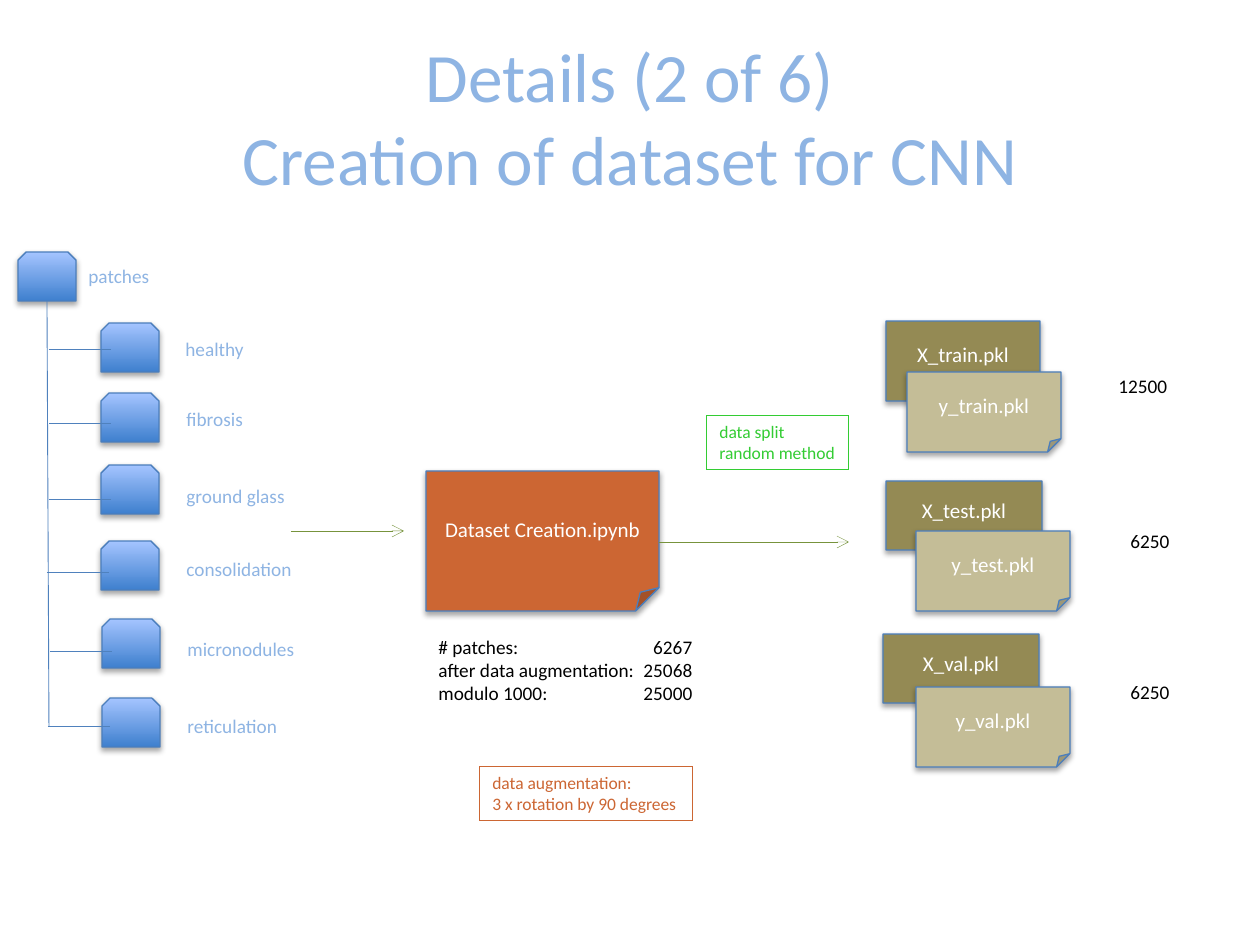
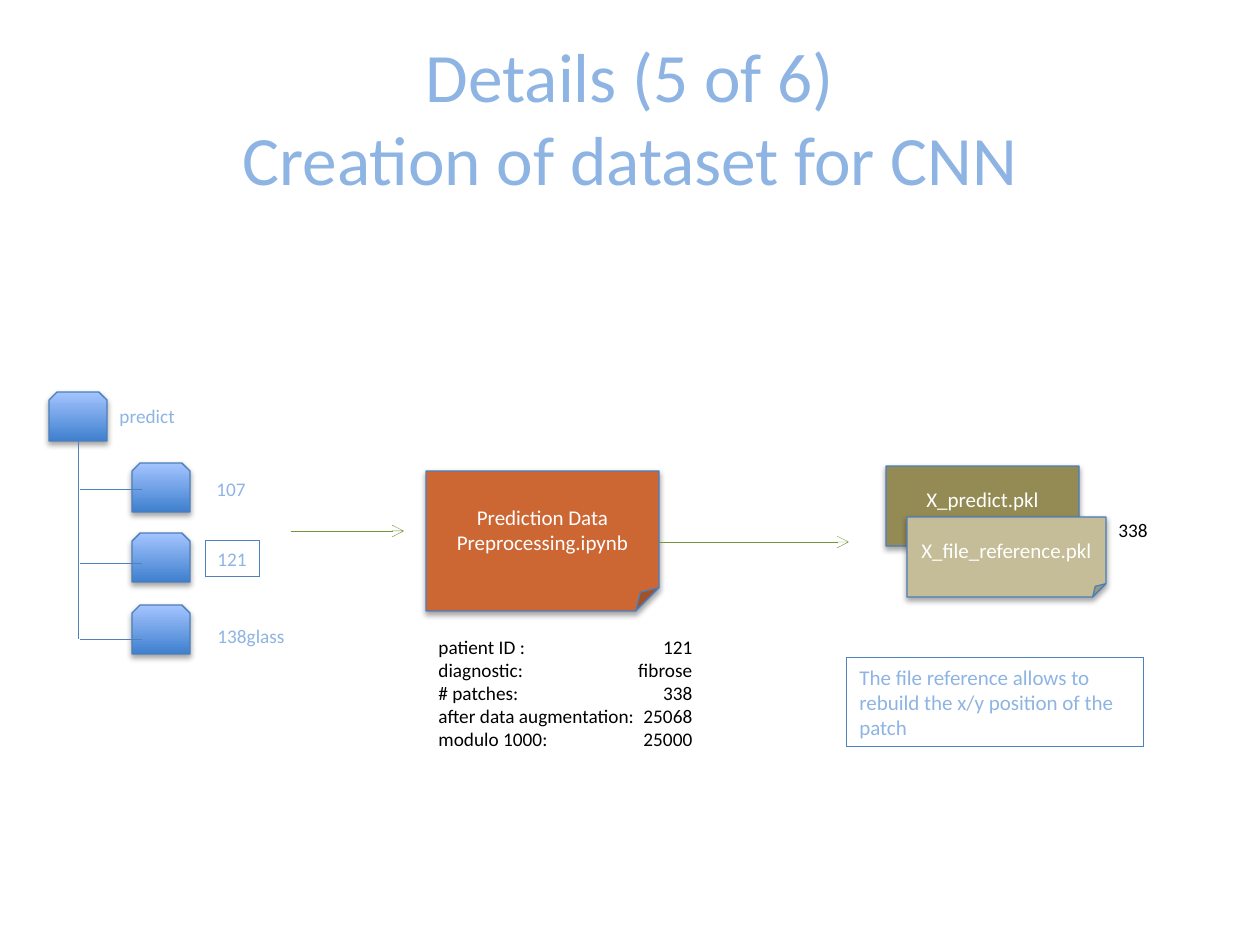
from lxml import etree
from pptx import Presentation
from pptx.dml.color import RGBColor
from pptx.enum.shapes import MSO_CONNECTOR, MSO_SHAPE
from pptx.enum.text import MSO_ANCHOR, MSO_AUTO_SIZE, PP_ALIGN
from pptx.oxml import parse_xml
from pptx.oxml.ns import qn
from pptx.util import Emu, Pt

SCALE = 914400 / 126
NS = 'xmlns:a="http://schemas.openxmlformats.org/drawingml/2006/main"'
LINE = MSO_CONNECTOR.STRAIGHT
FOLD, SNIP = MSO_SHAPE.FOLDED_CORNER, MSO_SHAPE.SNIP_2_SAME_RECTANGLE
MIDDLE, CENTER = MSO_ANCHOR.MIDDLE, PP_ALIGN.CENTER
FIXED, GROW = MSO_AUTO_SIZE.NONE, MSO_AUTO_SIZE.SHAPE_TO_FIT_TEXT

FONT = "Calibri"
COLORS = {
    "sky": "8EB4E3", "edge": "4B7EBC", "tree": "4F81BD", "arrow": "77933C",
    "step": "CC6633", "dark": "948A54", "sand": "C4BD97", "green": "33CC33",
    "deep": "3F80CE", "pale": "A4C4FF", "white": "FFFFFF", "black": "000000",
}
# Offsets from the root folder: folder x, y; branch x, y; label x, y
ROWS = [
    (83, 71, 31, 97, 155, 79),
    (83, 141, 31, 171, 156, 149),
    (83, 213, 31, 247, 156, 226),
    (83, 289, 29, 320, 156, 299),
    (84, 367, 32, 399, 157, 379),
    (84, 446, 30, 474, 157, 456),
]


def px(*vals):
    return [Emu(round(v * SCALE)) for v in vals]


def rgb(name):
    return RGBColor.from_string(COLORS[name])


class Deck:
    def __init__(self):
        self.prs = Presentation()
        self.prs.slide_width, self.prs.slide_height = px(1260, 945)

    def start(self, *lines):
        """New slide with a centred title."""
        self.slide = self.prs.slides.add_slide(self.prs.slide_layouts[5])
        title = self.slide.shapes.title
        title.left, title.top, title.width, title.height = px(63, 38, 1134, 157)
        frame = title.text_frame
        frame.auto_size, frame.vertical_anchor = FIXED, MIDDLE
        par = frame.paragraphs[0]
        par.alignment = CENTER
        for i, line in enumerate(lines):
            if i:
                par.add_line_break()
            self.run(par, line, 39.6, "sky")

    def run(self, par, text, size, color):
        run = par.add_run()
        run.text = text
        run.font.name, run.font.size = FONT, Pt(size)
        run.font.color.rgb = rgb(color)

    def shape(self, kind, x, y, w, h):
        """Outlined shape with a soft shadow below."""
        shape = self.slide.shapes.add_shape(kind, *px(x, y, w, h))
        shape.line.color.rgb, shape.line.width = rgb("edge"), Pt(0.75)
        shape.shadow.inherit = False
        shape._element.spPr.find(qn("a:effectLst")).append(parse_xml(
            f'<a:outerShdw {NS} blurRad="40000" dist="23000" dir="5400000" '
            'rotWithShape="0"><a:srgbClr val="000000"><a:alpha val="35000"/>'
            '</a:srgbClr></a:outerShdw>'))
        return shape

    def file(self, x, y, w, h, text, fill):
        shape = self.shape(FOLD, x, y, w, h)
        shape.fill.solid()
        shape.fill.fore_color.rgb = rgb(fill)
        frame = shape.text_frame
        frame.word_wrap, frame.vertical_anchor = True, MIDDLE
        par = frame.paragraphs[0]
        par.alignment = CENTER
        self.run(par, text, 12, "white")

    def folder(self, x, y):
        fill = self.shape(SNIP, x, y, 58, 49).fill
        fill.gradient()
        fill.gradient_angle = 90
        for stop, color in zip(fill.gradient_stops, ("deep", "pale")):
            stop.color.rgb = rgb(color)

    def line(self, x1, y1, x2, y2, color="tree", width=0.5, head=False):
        line = self.slide.shapes.add_connector(LINE, *px(x1, y1, x2, y2))
        line.line.color.rgb, line.line.width = rgb(color), Pt(width)
        if head:
            etree.SubElement(line.line._get_or_add_ln(), qn("a:tailEnd"), type="arrow")
        etree.SubElement(line._element.spPr, qn("a:effectLst"))

    def text(self, x, y, w, h, lines, color="sky", size=11, edge=None, wrap=False, tab=0):
        box = self.slide.shapes.add_textbox(*px(x, y, w, h))
        frame = box.text_frame
        frame.word_wrap, frame.auto_size = wrap, GROW
        if edge:
            # The default width draws as a thin frame
            box.line.color.rgb = rgb(edge)
        for i, line in enumerate(lines):
            par = frame.add_paragraph() if i else frame.paragraphs[0]
            if tab:
                par._p.get_or_add_pPr().append(parse_xml(
                    f'<a:tabLst {NS}><a:tab pos="{px(tab)[0]}" algn="r"/></a:tabLst>'))
            self.run(par, line, size, color)

    def tree(self, x, y, root, wide, lean, names):
        """Folder tree; names holds label, label width and label edge."""
        self.folder(x, y)
        self.text(x + 58, y + 6, wide, 36, [root])
        self.line(x + 29, y + 49, x + 29 + lean, y + ROWS[len(names) - 1][3])
        for (fx, fy, bx, by, tx, ty), (name, w, edge) in zip(ROWS, names):
            self.folder(x + fx, y + fy)
            self.line(x + bx, y + by, x + bx + 62, y + by)
            self.text(x + tx, y + ty, w, 36, [name], edge=edge)

    def flow(self, step, stats):
        """Central step, its arrows and the figures below."""
        left, wide = 426, 233
        self.file(left, 471, wide, 140, step, "step")
        for x1, x2, y in ((left + wide, 849, 542), (291, 404, 531)):
            self.line(x1, y, x2, y, "arrow", 0.25, True)
        lines = [f"{key}\t{val}" for key, val in stats]
        self.text(left, 629, 284, 13 + 23 * len(lines), lines, "black", wrap=True, tab=254)


deck = Deck()
GROWN = [("after data augmentation:", "25068"), ("modulo 1000:", "25000")]

# Slide 1: training data
deck.start("Details (2 of 6)", "Creation of dataset for CNN")
deck.flow("Dataset Creation.ipynb", [("# patches:", "6267")] + GROWN)
deck.tree(18, 252, "patches", 87, 2, [
    ("healthy", 86, None), ("fibrosis", 83, None), ("ground glass", 125, None),
    ("consolidation", 132, None), ("micronodules", 134, None),
    ("reticulation", 116, None)])
# Per set: X file box, y file corner, count place
SETS = [
    ("train", (886, 321, 154, 80), (907, 372), (1106, 368, 74), "12500"),
    ("test", (886, 481, 156, 69), (916, 531), (1118, 523, 64), "6250"),
    ("val", (883, 634, 156, 69), (916, 687), (1118, 674, 64), "6250"),
]
for name, back, front, spot, count in SETS:
    deck.file(*back, f"X_{name}.pkl", "dark")
    deck.file(*front, 154, 80, f"y_{name}.pkl", "sand")
    deck.text(*spot, 36, [count], "black")
deck.text(480, 766, 213, 55, ["data augmentation:", "3 x rotation by 90 degrees "],
          "step", 10, "step")
deck.text(707, 415, 142, 55, ["data split", "random method"], "green", 10, "green")

# Slide 2: prediction data
deck.start("Details (5 of 6)", "Creation of dataset for CNN")
deck.flow("Prediction Data Preprocessing.ipynb", [
    ("patient ID :", "121"), ("diagnostic:", "fibrose"), ("# patches:", "338")] + GROWN)
deck.tree(49, 392, "predict", 82, 0, [
    ("107", 55, None), ("121", 55, "tree"), ("138glass", 93, None)])
deck.file(886, 466, 193, 80, "X_predict.pkl", "dark")
deck.file(907, 517, 199, 80, "X_file_reference.pkl", "sand")
deck.text(1106, 512, 55, 36, ["338"], "black")
deck.text(847, 658, 297, 89,
          ["The file reference allows to rebuild the x/y position of the patch"],
          size=12, edge="tree", wrap=True)

deck.prs.save("out.pptx")
